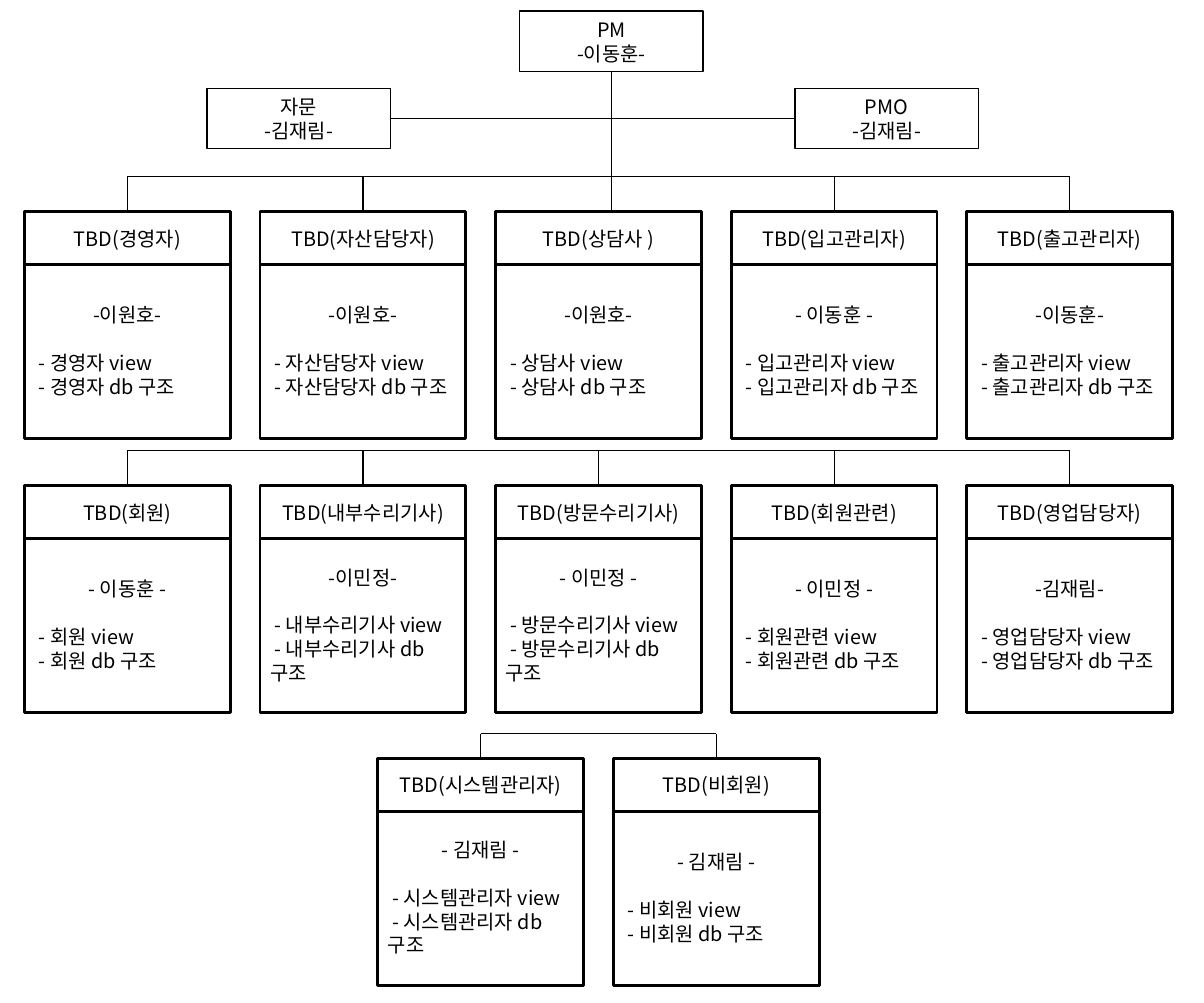
from lxml import etree
from pptx import Presentation
from pptx.dml.color import RGBColor
from pptx.enum.shapes import MSO_CONNECTOR, MSO_SHAPE
from pptx.enum.text import MSO_ANCHOR, PP_ALIGN
from pptx.oxml.ns import qn
from pptx.util import Cm, Pt

FONT = "Noto Sans CJK KR"
BLACK, WHITE = "000000", "FFFFFF"

# Lengths in cm
LEFT, PITCH, COLUMNS = 0.61, 5.87, 5
CARD_W, HEAD_H, BODY_H, BODY_OFFSET = 5.13, 1.32, 4.39, 1.27
LEAD_W, LEAD_H = 4.57, 1.5
PM_LEFT, PM_TOP = 12.95, 0.28
ADVISOR_LEFT, PMO_LEFT, STAFF_TOP = 5.16, 19.81, 2.21

# Row top, height of the bus above it, columns with a drop line, (role, owner) cards
ROWS = [
    (5.28, 0.87, (0, 1, 3, 4), [
        ("경영자", "-이원호-"), ("자산담당자", "-이원호-"), ("상담사 ", "-이원호-"),
        ("입고관리자", "- 이동훈 -"), ("출고관리자", "-이동훈-")]),
    (12.11, 0.87, (0, 1, 2, 3, 4), [
        ("회원", "- 이동훈 -"), ("내부수리기사", "-이민정-"), ("방문수리기사", "- 이민정 -"),
        ("회원관련", "- 이민정 -"), ("영업담당자", "-김재림-")]),
    (18.9, 0.61, (0, 1), [
        ("시스템관리자", "- 김재림 -"), ("비회원", "- 김재림 -")]),
]


def color(hex_code):
    """Turn a hex string into a colour."""
    return RGBColor.from_string(hex_code)


def add_text(paragraph, text, align=PP_ALIGN.CENTER):
    """Write one paragraph in the chart's font."""
    paragraph.alignment = align
    run = paragraph.add_run()
    run.text = text
    run.font.size = Pt(14)
    run.font.name = FONT
    run.font.color.rgb = color(BLACK)
    east_asian = etree.SubElement(run.font._element, qn("a:ea"))
    east_asian.set("typeface", FONT)


def add_box(shapes, left, top, width, height, lines, border=1):
    """Add a white box with centred lines and return its text frame."""
    box = shapes.add_shape(MSO_SHAPE.RECTANGLE, Cm(left), Cm(top), Cm(width), Cm(height))
    box.shadow.inherit = False
    box.fill.solid()
    box.fill.fore_color.rgb = color(WHITE)
    box.line.color.rgb = color(BLACK)
    box.line.width = Pt(border)
    frame = box.text_frame
    frame.word_wrap = True
    frame.vertical_anchor = MSO_ANCHOR.MIDDLE
    for index, line in enumerate(lines):
        add_text(frame.add_paragraph() if index else frame.paragraphs[0], line)
    return frame


def add_line(shapes, x1, y1, x2, y2):
    """Add a thin straight connector."""
    line = shapes.add_connector(MSO_CONNECTOR.STRAIGHT, Cm(x1), Cm(y1), Cm(x2), Cm(y2))
    line.line.color.rgb = color(BLACK)
    line.line.width = Pt(0.75)
    etree.SubElement(line._element.spPr, qn("a:effectLst"))


def add_card(shapes, left, top, role, owner):
    """Add a grouped role card: body with owner and tasks, header above."""
    card = shapes.add_group_shape().shapes
    body = add_box(card, left, top + BODY_OFFSET, CARD_W, BODY_H, [owner], border=2)
    body.paragraphs[0].space_after = Pt(17)
    for task in ("view", "db 구조"):
        add_text(body.add_paragraph(), f" - {role.strip()} {task}", PP_ALIGN.LEFT)
    add_box(card, left, top, CARD_W, HEAD_H, [f"TBD({role})"], border=2)


def add_row(shapes, top, rise, drops, cards):
    """Add a centred row of cards hanging from a shared bus line."""
    start = LEFT + (COLUMNS - len(cards)) / 2 * PITCH
    lefts = [start + column * PITCH for column in range(len(cards))]
    centers = [left + CARD_W / 2 for left in lefts]
    bus = top - rise
    add_line(shapes, centers[0], bus, centers[-1], bus)
    for column in drops:
        add_line(shapes, centers[column], bus, centers[column], top)
    for left, (role, owner) in zip(lefts, cards):
        add_card(shapes, left, top, role, owner)


def add_leadership(shapes):
    """Add the PM, the advisor and the PMO with the lines that join them."""
    trunk = PM_LEFT + LEAD_W / 2
    staff_middle = STAFF_TOP + LEAD_H / 2
    add_line(shapes, trunk, PM_TOP + LEAD_H, trunk, ROWS[0][0])
    add_line(shapes, ADVISOR_LEFT + LEAD_W, staff_middle, PMO_LEFT, staff_middle)
    for left, top, title, name in (
        (PM_LEFT, PM_TOP, "PM", "-이동훈-"),
        (ADVISOR_LEFT, STAFF_TOP, "자문", "-김재림-"),
        (PMO_LEFT, STAFF_TOP, "PMO", "-김재림-"),
    ):
        add_box(shapes, left, top, LEAD_W, LEAD_H, [title, name])


def main():
    """Build the project organisation chart."""
    deck = Presentation()
    deck.slide_width, deck.slide_height = Cm(30), Cm(25)
    shapes = deck.slides.add_slide(deck.slide_layouts[6]).shapes
    add_leadership(shapes)
    for row in ROWS:
        add_row(shapes, *row)
    deck.save("out.pptx")


main()
